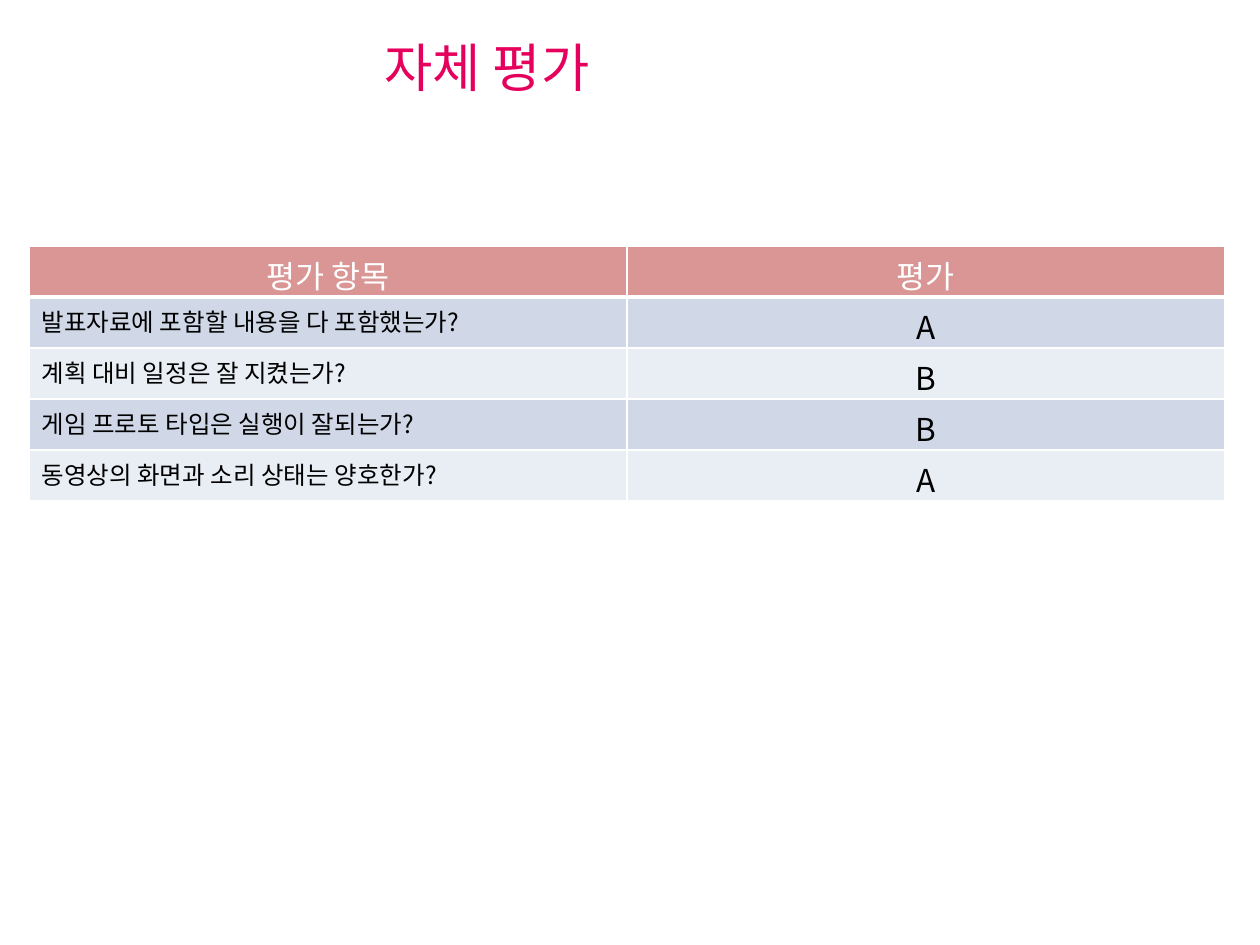
import dataclasses

import lxml.etree
import pptx
import pptx.dml.color
import pptx.enum.text
import pptx.oxml
import pptx.oxml.ns
import pptx.util

RGB = pptx.dml.color.RGBColor
ALIGN = pptx.enum.text.PP_ALIGN
PX = 914400 // 126
FONT = "Noto Sans CJK KR"
PINK = RGB(0xE6, 0x00, 0x5D)
ROSE = RGB(0xD9, 0x96, 0x94)
BANDS = (RGB(0xD0, 0xD8, 0xE8), RGB(0xE9, 0xED, 0xF4))
WHITE = RGB(0xFF, 0xFF, 0xFF)
BLACK = RGB(0x00, 0x00, 0x00)
LEFT, TOP, COL_W, ROW_H = 29, 246, 598, 51


@dataclasses.dataclass(frozen=True)
class Style:
    size: int
    color: RGB
    align: ALIGN


TITLE = Style(30, PINK, ALIGN.LEFT)
HEAD = Style(18, WHITE, ALIGN.CENTER)
ITEM = Style(14, BLACK, ALIGN.LEFT)
GRADE = Style(18, BLACK, ALIGN.CENTER)

ROWS = (
    ("평가 항목", "평가"),
    ("발표자료에 포함할 내용을 다 포함했는가?", "A"),
    ("계획 대비 일정은 잘 지켰는가?", "B"),
    ("게임 프로토 타입은 실행이 잘되는가?", "B"),
    ("동영상의 화면과 소리 상태는 양호한가?", "A"),
)


def px(count: int) -> int:
    return pptx.util.Emu(count * PX)


def make_line(tag: str, points: float, color: RGB, alpha: int = 100):
    """Return a solid line element, with alpha in percent."""
    return pptx.oxml.parse_xml(
        f'<a:{tag} {pptx.oxml.ns.nsdecls("a")} w="{int(points * 12700)}">'
        f'<a:solidFill><a:srgbClr val="{color}"><a:alpha val="{alpha * 1000}"/>'
        f'</a:srgbClr></a:solidFill><a:prstDash val="solid"/></a:{tag}>'
    )


def set_text(frame, text: str, style: Style) -> None:
    frame.text = text
    para = frame.paragraphs[0]
    para.alignment = style.align
    font = para.runs[0].font
    font.size = pptx.util.Pt(style.size)
    font.bold = False
    font.color.rgb = style.color
    font.name = FONT
    # East Asian glyphs take their own typeface entry.
    east = lxml.etree.SubElement(font._element, pptx.oxml.ns.qn("a:ea"))
    east.set("typeface", FONT)


def add_title(slide) -> None:
    title = slide.shapes.title
    title.left, title.top, title.width, title.height = map(px, (372, 29, 256, 77))
    frame = title.text_frame
    set_text(frame, "자체 평가", TITLE)
    frame.word_wrap = False
    frame.auto_size = pptx.enum.text.MSO_AUTO_SIZE.SHAPE_TO_FIT_TEXT
    frame.vertical_anchor = pptx.enum.text.MSO_ANCHOR.TOP
    props = frame.paragraphs[0].runs[0].font._element
    props.insert(0, make_line("ln", 0.75, PINK, 25))


def fill_cell(cell, text: str, style: Style, fill: RGB, below: int) -> None:
    """Fill one cell; below is the width of its bottom border in points."""
    set_text(cell.text_frame, text, style)
    cell.fill.solid()
    cell.fill.fore_color.rgb = fill
    props = cell._tc.get_or_add_tcPr()
    edges = (("lnL", 1), ("lnR", 1), ("lnT", 1), ("lnB", below))
    for place, (tag, width) in enumerate(edges):
        props.insert(place, make_line(tag, width, WHITE))


def add_grades(slide) -> None:
    size = (len(ROWS), len(ROWS[0]))
    table = slide.shapes.add_table(
        *size, px(LEFT), px(TOP), px(COL_W * size[1]), px(ROW_H * size[0])
    ).table
    for row, texts in enumerate(ROWS):
        head = row == 0
        fill = ROSE if head else BANDS[(row - 1) % 2]
        styles = (HEAD, HEAD) if head else (ITEM, GRADE)
        for col, (text, style) in enumerate(zip(texts, styles)):
            fill_cell(table.cell(row, col), text, style, fill, 3 if head else 1)


def main() -> None:
    deck = pptx.Presentation()
    deck.slide_width = pptx.util.Inches(10)
    deck.slide_height = pptx.util.Inches(7.5)
    slide = deck.slides.add_slide(deck.slide_layouts.get_by_name("Title Only"))
    add_title(slide)
    add_grades(slide)
    deck.save("out.pptx")


if __name__ == "__main__":
    main()
